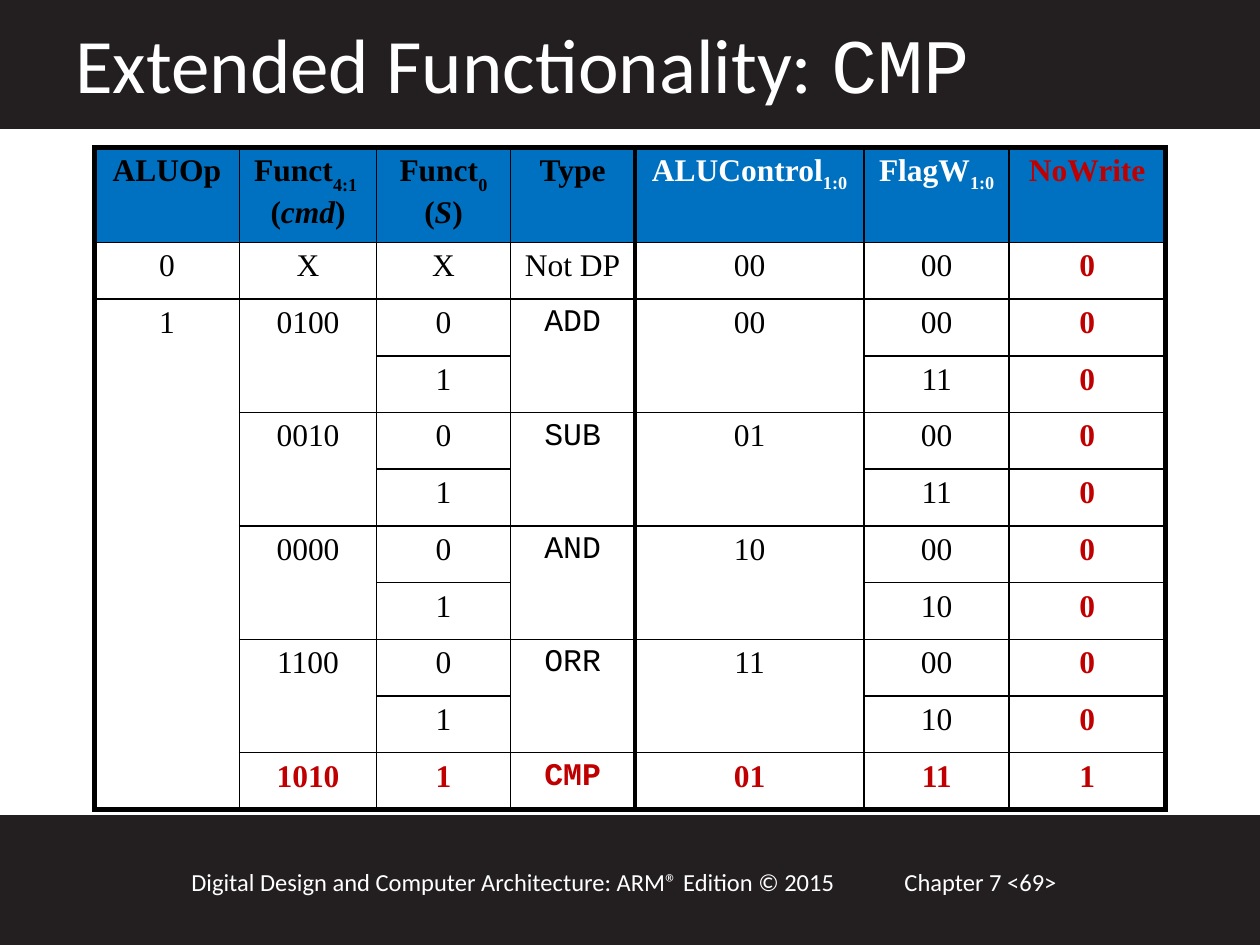
from lxml import etree
from pptx import Presentation
from pptx.dml.color import RGBColor
from pptx.enum.shapes import MSO_SHAPE
from pptx.enum.text import PP_ALIGN
from pptx.oxml.ns import qn
from pptx.util import Inches, Pt

RECTANGLE = MSO_SHAPE.RECTANGLE
CENTER = PP_ALIGN.CENTER
WIDTH, HEIGHT = Inches(10), Inches(7.5)
BAND, BLUE, BLACK, WHITE, RED = "231F20", "0070C0", "000000", "FFFFFF", "C00000"
SANS, SERIF, MONO = "Calibri", "Times New Roman", "Courier New"
HANGING = Inches(0.38)

COLUMN_WIDTHS = [1.15, 1.09, 1.06, 0.99, 1.82, 1.15, 1.24]
HEADER_HEIGHT, ROW_HEIGHT = 0.75, 0.45
TYPE_COLUMN, FIRST_OUTPUT, NO_WRITE = 3, 4, 6
HEADERS = [
    [[("ALUOp", {})]],
    [[("Funct", {}), ("4:1 ", {"baseline": -30})],
     [("(", {}), ("cmd", {"italic": True}), (")", {})]],
    [[("Funct", {}), ("0", {"baseline": -30})],
     [("(", {}), ("S", {"italic": True}), (")", {})]],
    [[("Type", {})]],
    [[("ALUControl", {}), ("1:0", {"baseline": -25})]],
    [[("FlagW", {}), ("1:0", {"baseline": -25})]],
    [[("NoWrite", {})]],
]
INSTRUCTIONS = [
    ("0100", "ADD", "00", "11"),
    ("0010", "SUB", "01", "11"),
    ("0000", "AND", "10", "10"),
    ("1100", "ORR", "11", "10"),
]


def rgb(code):
    """Turn a hex string into a colour."""
    return RGBColor.from_string(code)


def truth_rows():
    """List the body rows; None continues the cell above."""
    rows = [["0", "X", "X", "Not DP", "00", "00", "0"]]
    for command, name, control, flags in INSTRUCTIONS:
        rows.append([None, command, "0", name, control, "00", "0"])
        rows.append([None, None, "1", None, None, flags, "0"])
    rows.append([None, "1010", "1", "CMP", "01", "11", "1"])
    rows[1][0] = "1"
    return rows


def add_run(paragraph, text, size, font, color, bold=False, italic=False, baseline=0):
    """Append a formatted run, with its baseline shift in percent."""
    run = paragraph.add_run()
    run.text = text
    run.font.size, run.font.name = Pt(size), font
    run.font.bold, run.font.italic = bold, italic
    run.font.color.rgb = rgb(color)
    if baseline:
        run._r.get_or_add_rPr().set("baseline", str(baseline * 1000))


def add_band(slide, top):
    """Draw a full-width dark band at a share of the slide's height."""
    band = slide.shapes.add_shape(RECTANGLE, 0, int(HEIGHT * top), WIDTH, Inches(1.01))
    band.shadow.inherit = False
    band.fill.solid()
    band.fill.fore_color.rgb = rgb(BAND)
    band.line.color.rgb = rgb(BAND)
    band.line.width = Pt(2)


def add_label(slide, left, top, width, height, size, runs):
    """Place a white line of text, its box given in shares of the slide."""
    label = slide.shapes.add_textbox(int(WIDTH * left), int(HEIGHT * top),
                                     int(WIDTH * width), int(HEIGHT * height))
    label.text_frame.word_wrap = True
    for text, font in runs:
        add_run(label.text_frame.paragraphs[0], text, size, font, WHITE)


def set_borders(cell, widths):
    """Draw the black edges of a cell, given as tag and width in points."""
    properties = cell._tc.get_or_add_tcPr()
    for tag, points in widths.items():
        edge = etree.SubElement(properties, qn(f"a:{tag}"), w=str(Pt(points)))
        fill = etree.SubElement(edge, qn("a:solidFill"))
        etree.SubElement(fill, qn("a:srgbClr"), val=BLACK)


def write_cell(cell, paragraphs, font, color, bold):
    """Write centred paragraphs of runs with a hanging indent."""
    for number, runs in enumerate(paragraphs):
        frame = cell.text_frame
        paragraph = frame.add_paragraph() if number else frame.paragraphs[0]
        paragraph.alignment = CENTER
        properties = paragraph._p.get_or_add_pPr()
        properties.set("marL", str(HANGING))
        properties.set("indent", str(-HANGING))
        for text, style in runs:
            add_run(paragraph, text, 18, font, color, bold, **style)


def cell_style(row, column, last):
    """Choose the font, colour and weight for a place in the table."""
    font = MONO if row > 1 and column == TYPE_COLUMN else SERIF
    if column == NO_WRITE or (row == last and column):
        return font, RED, True
    if row == 0:
        return font, WHITE if column >= FIRST_OUTPUT else BLACK, True
    return font, BLACK, False


def add_truth_table(slide, left, top):
    """Build the decoder table, merging cells that continue downwards."""
    contents = [HEADERS] + [[text and [[(text, {})]] for text in row]
                            for row in truth_rows()]
    count, columns = len(contents), len(COLUMN_WIDTHS)
    heights = [HEADER_HEIGHT] + [ROW_HEIGHT] * (count - 1)
    table = slide.shapes.add_table(count, columns, Inches(left), Inches(top),
                                   Inches(sum(COLUMN_WIDTHS)),
                                   Inches(sum(heights))).table
    table.first_row = table.horz_banding = False
    for column, width in zip(table.columns, COLUMN_WIDTHS):
        column.width = Inches(width)
    for row, height in zip(table.rows, heights):
        row.height = Inches(height)

    thick_columns = (0, FIRST_OUTPUT, columns)
    for r, row in enumerate(contents):
        for c, paragraphs in enumerate(row):
            cell = table.cell(r, c)
            end = r + 1
            while end < count and contents[end][c] is None:
                end += 1
            edges = {"lnL": 3 if c in thick_columns else 1,
                     "lnR": 3 if c + 1 in thick_columns else 1}
            if paragraphs:
                edges["lnT"] = 1 if r else 3
            if paragraphs or end == r + 1:
                edges["lnB"] = 3 if end == count else 1
            set_borders(cell, edges)
            if r:
                cell.fill.background()
            else:
                cell.fill.solid()
                cell.fill.fore_color.rgb = rgb(BLUE)
            if paragraphs:
                write_cell(cell, paragraphs, *cell_style(r, c, count - 1))
                if end > r + 1:
                    cell.merge(table.cell(end - 1, c))


def main():
    """Build the slide and save it."""
    deck = Presentation()
    deck.slide_width, deck.slide_height = WIDTH, HEIGHT
    slide = deck.slides.add_slide(deck.slide_layouts[6])
    for top in (0.864, 0):
        add_band(slide, top)
    add_label(slide, 0.708, 0.911, 0.217, 0.045, 14, [("Chapter 7 <69>", SANS)])
    add_label(slide, 0.142, 0.911, 0.575, 0.045, 14,
              [("Digital Design and Computer Architecture: ARM® Edition © 2015", SANS)])
    add_label(slide, 0.05, 0.011, 0.867, 0.112, 44,
              [("Extended Functionality: ", SANS), ("CMP", MONO)])
    add_truth_table(slide, 0.75, 1.17)
    deck.save("out.pptx")


if __name__ == "__main__":
    main()
